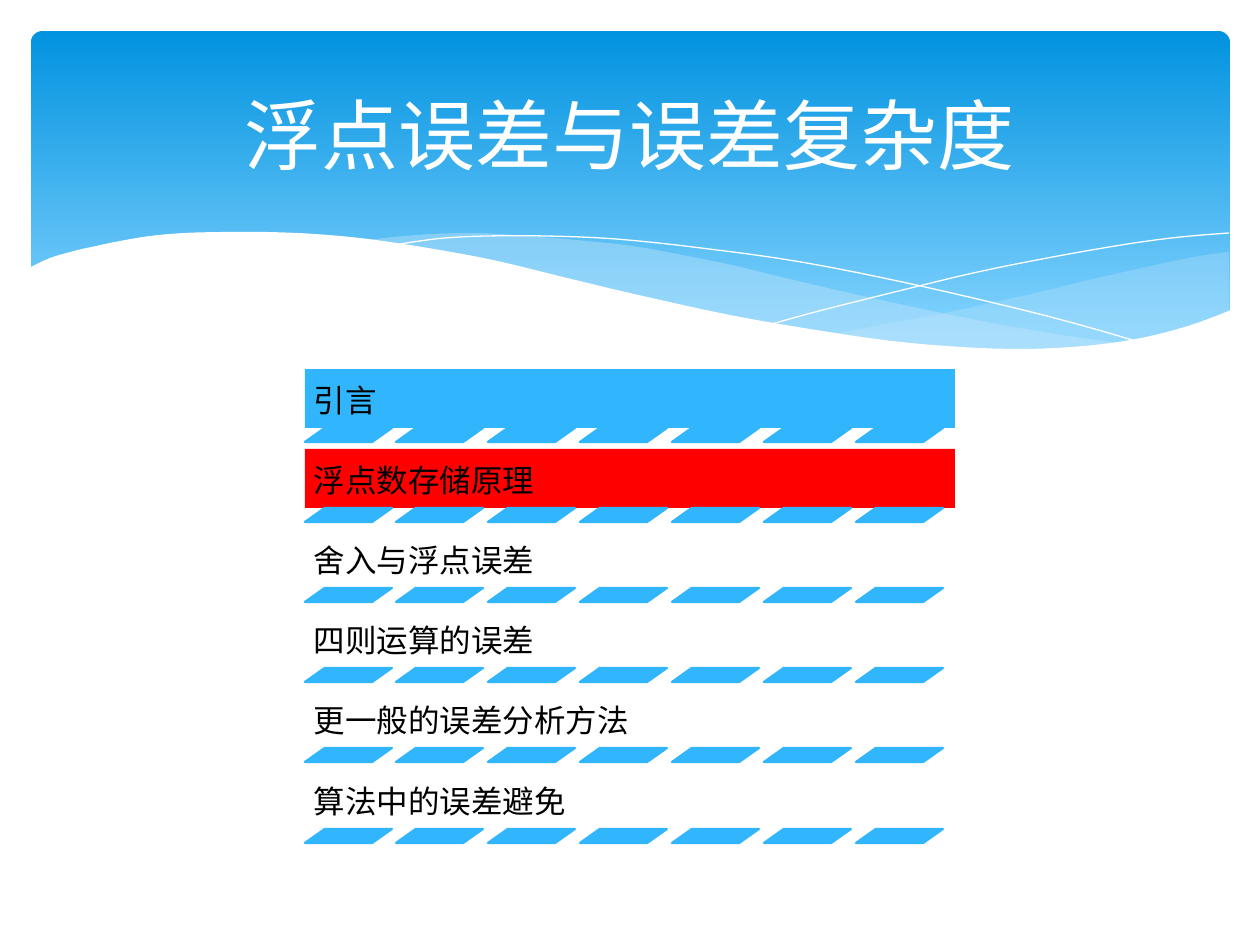
from lxml.etree import SubElement
from pptx import Presentation
from pptx.dml.color import RGBColor
from pptx.enum.shapes import MSO_SHAPE as Shape
from pptx.enum.text import MSO_ANCHOR as Anchor, PP_ALIGN as Align
from pptx.oxml.ns import qn
from pptx.util import Pt

TITLE = "浮点误差与误差复杂度"
BLUE, RED, WHITE, BLACK, PALE = "31B6FD", "FF0000", "FFFFFF", "000000", "C6E7FC"
SKY = [("0293E0", 0), ("83D3FE", 0.9)]
TOPICS = [
    ("引言", BLUE),
    ("浮点数存储原理", RED),
    ("舍入与浮点误差", None),
    ("四则运算的误差", None),
    ("更一般的误差分析方法", None),
    ("算法中的误差避免", None),
]
LIST_LEFT, LIST_TOP, LIST_WIDTH, LAST_TOP = 305, 369, 650, 770
BAR_HEIGHT, DASH_WIDTH, DASH_HEIGHT = 59, 87, 14
DASHES, DASH_SPAN = 7, 551
INSET = 9

RIGHT_WAVE = [
    [(1229, 252), (1194, 257), (1142, 268), (1085, 281), (1048, 290),
     (982, 305), (919, 318), (833, 334)],
    [(833, 334), (888, 342), (939, 347), (998, 350), (1057, 349),
     (1110, 344), (1160, 334), (1196, 324), (1229, 311)],
]
MIDDLE_WAVE = [
    [(1125, 344), (1055, 334), (976, 320), (890, 302), (793, 280), (736, 266),
     (682, 255), (632, 246), (586, 241), (529, 236), (479, 233), (433, 234),
     (394, 237), (360, 241)],
    [(360, 241), (407, 247), (456, 256), (509, 266), (566, 280), (668, 302),
     (757, 321), (819, 333), (893, 343), (958, 348), (1017, 350), (1068, 349),
     (1104, 346), (1125, 344)],
]
FALLING_LINE = [
    [(389, 246), (413, 242), (445, 238), (487, 236), (546, 236), (616, 239),
     (701, 248), (801, 262), (916, 285), (1047, 316), (1143, 343)],
]
RISING_LINE = [
    [(772, 324), (823, 310), (907, 289), (978, 272), (1053, 257), (1128, 244),
     (1181, 237), (1229, 233)],
]
WHITE_WAVE = [
    [(1231, 310), (1197, 323), (1159, 334), (1118, 342), (1071, 347),
     (1019, 349), (961, 347), (892, 341), (816, 330), (730, 315), (634, 294),
     (563, 277), (493, 260), (428, 248), (368, 239), (315, 234), (266, 232),
     (223, 232), (184, 233), (150, 236), (120, 241), (96, 246), (74, 251),
     (50, 258), (29, 268)],
    [(29, 415), (1231, 415)],
]
WAVES = [
    (RIGHT_WAVE, PALE, 29),
    (MIDDLE_WAVE, PALE, 40),
    (FALLING_LINE, None, 100),
    (RISING_LINE, None, 100),
    (WHITE_WAVE, WHITE, 100),
]


def px(length):
    """Turn pixels into EMU."""
    return round(length * 914400 / 126)


def paint(part, color):
    """Give a fill or a font one solid colour."""
    if hasattr(part, "solid"):
        part.solid()
        part.fore_color.rgb = RGBColor.from_string(color)
    else:
        part.color.rgb = RGBColor.from_string(color)


def smooth(knots, steps=4):
    """Run a Catmull-Rom curve through the knots."""
    padded = [knots[0], *knots, knots[-1]]
    curve = [knots[0]]
    for a, b, c, d in zip(padded, padded[1:], padded[2:], padded[3:]):
        for step in range(1, steps + 1):
            t = step / steps
            curve.append(tuple(
                (2 * q + (r - p) * t + (2 * p - 5 * q + 4 * r - s) * t ** 2
                 + (3 * q - p - 3 * r + s) * t ** 3) / 2
                for p, q, r, s in zip(a, b, c, d)))
    return curve


def add_block(slide, kind, left, top, width, height, color=None):
    """Add a preset shape without line or shadow."""
    block = slide.shapes.add_shape(kind, px(left), px(top), px(width), px(height))
    block.shadow.inherit = False
    block.line.fill.background()
    if color:
        paint(block.fill, color)
    else:
        block.fill.background()
    return block


def add_wave(slide, curves, color, opacity):
    """Add a filled wave, or a white hairline when there is no colour."""
    points = [(px(x), px(y)) for curve in curves for x, y in smooth(curve)]
    builder = slide.shapes.build_freeform(*points[0])
    builder.add_line_segments(points[1:], close=bool(color))
    wave = builder.convert_to_shape()
    wave.shadow.inherit = False
    if color:
        paint(wave.fill, color)
        wave.line.fill.background()
    else:
        wave.fill.background()
        paint(wave.line.fill, WHITE)
        wave.line.width = Pt(0)
    if opacity < 100:
        tint = wave.fill._xPr.find(qn("a:solidFill"))[0]
        SubElement(tint, qn("a:alpha"), val=str(opacity * 1000))


def write(frame, text, face, size, color, align, anchor):
    """Set one paragraph of text in a frame."""
    frame.word_wrap = True
    frame.vertical_anchor = anchor
    paragraph = frame.paragraphs[0]
    paragraph.text = text
    paragraph.alignment = align
    paragraph.font.name = face
    paragraph.font.size = Pt(size)
    paint(paragraph.font, color)
    return paragraph


def add_banner(slide):
    """Add the sky panel and its waves."""
    sky = add_block(slide, Shape.ROUNDED_RECTANGLE, 31, 31, 1199, 340)
    sky.adjustments[0] = 0.034
    sky.fill.gradient()
    sky.fill.gradient_angle = 270
    for stop, (color, position) in zip(sky.fill.gradient_stops, SKY):
        stop.color.rgb = RGBColor.from_string(color)
        stop.position = position
    for curves, color, opacity in WAVES:
        add_wave(slide, curves, color, opacity)


def add_topics(slide):
    """Add each topic bar with its row of dashes."""
    for row, (topic, color) in enumerate(TOPICS):
        top = LIST_TOP + row * (LAST_TOP - LIST_TOP) // (len(TOPICS) - 1)
        bar = add_block(slide, Shape.RECTANGLE, LIST_LEFT, top, LIST_WIDTH, BAR_HEIGHT, color)
        frame = bar.text_frame
        frame.margin_left = frame.margin_right = px(INSET)
        frame.margin_top = frame.margin_bottom = px(INSET)
        line = write(frame, topic, "Courier New", 18, BLACK, Align.LEFT, Anchor.BOTTOM)
        line.line_spacing = 0.9
        line.space_after = Pt(6.3)
        for column in range(DASHES):
            left = LIST_LEFT + column * DASH_SPAN // (DASHES - 1)
            dash = add_block(slide, Shape.PARALLELOGRAM, left, top + BAR_HEIGHT,
                             DASH_WIDTH, DASH_HEIGHT, BLUE)
            dash.adjustments[0] = 1.408
            paint(dash.line.fill, BLUE)
            dash.line.width = Pt(1.25)


def main():
    """Build the outline slide."""
    deck = Presentation()
    deck.slide_width, deck.slide_height = px(1260), px(945)
    slide = deck.slides.add_slide(deck.slide_layouts[6])
    add_banner(slide)
    add_topics(slide)
    title = slide.shapes.add_textbox(px(63), px(47), px(1134), px(173))
    write(title.text_frame, TITLE, "League Spartan", 44, WHITE, Align.CENTER, Anchor.MIDDLE)
    deck.save("out.pptx")


if __name__ == "__main__":
    main()
